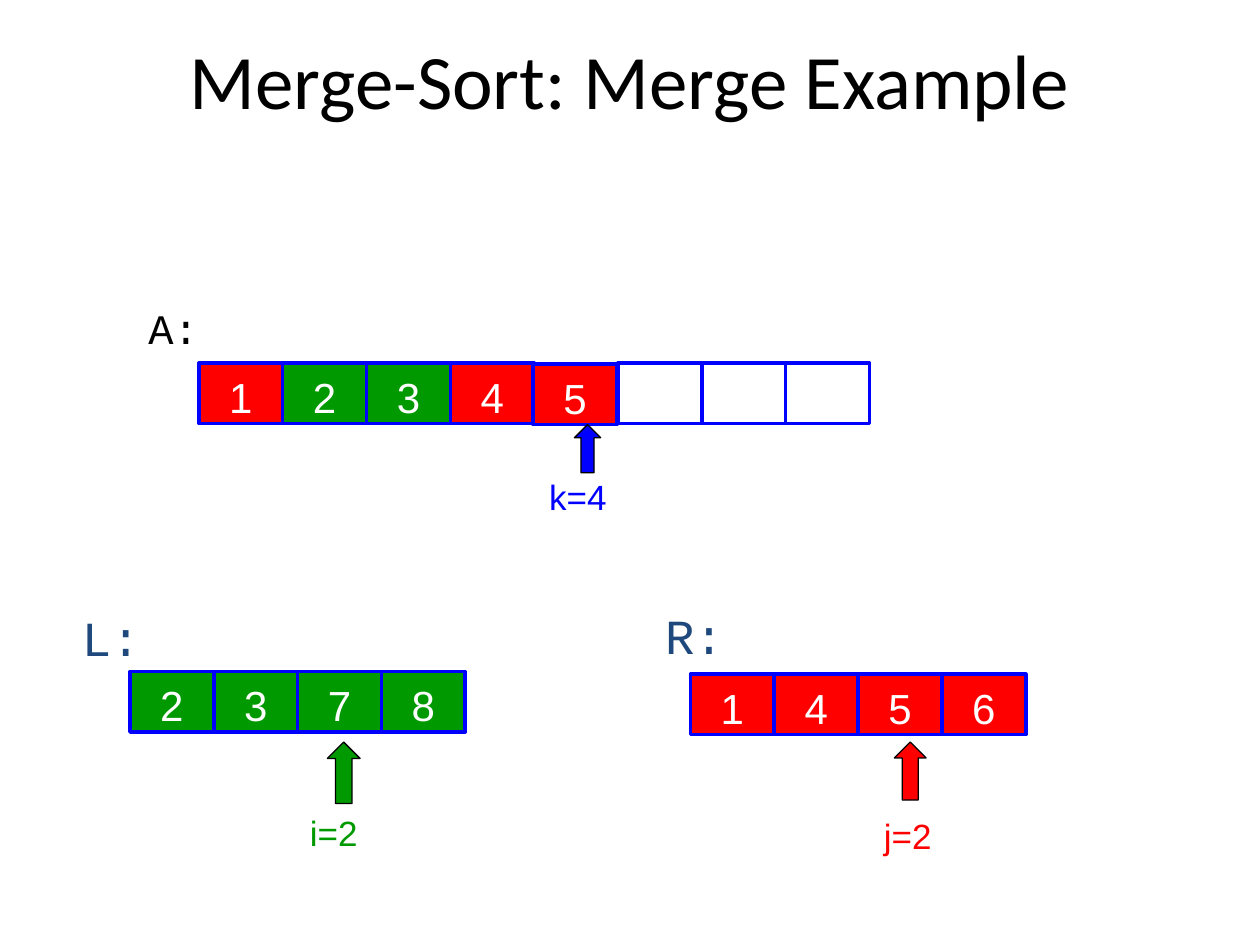
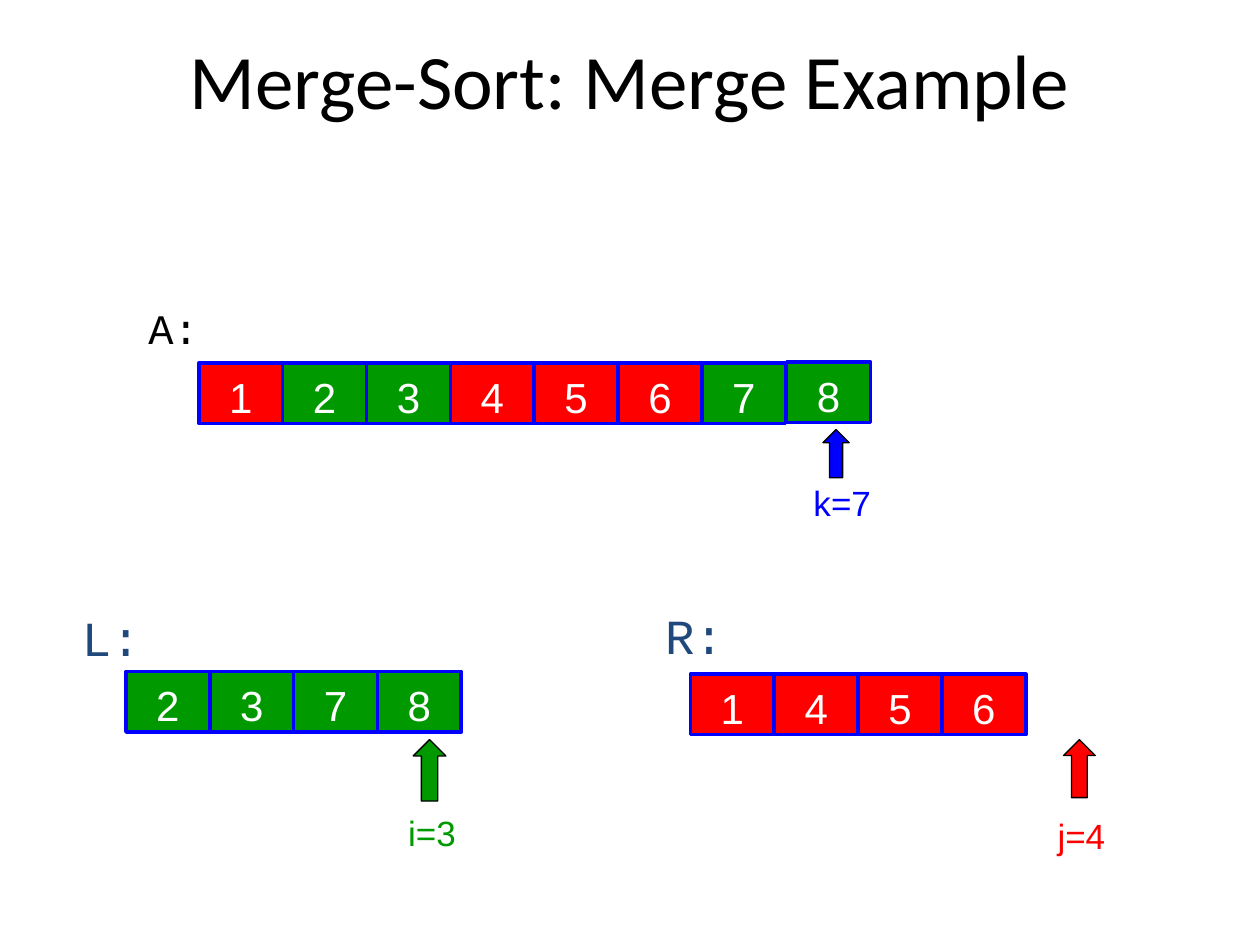
from dataclasses import dataclass

from pptx import Presentation
from pptx.dml.color import RGBColor
from pptx.enum import shapes, text
from pptx.util import Cm, Pt

BLUE, RED, GREEN = "0000FF", "FF0000", "009900"
NAVY, BLACK, WHITE = "1F497D", "000000", "FFFFFF"
CELL_WIDTH, CELL_HEIGHT = 1.69, 1.22
SIDE_INSET, TOP_INSET = 0.25, 0.13


@dataclass(frozen=True)
class Box:
    left: float
    top: float
    width: float
    height: float

    def lengths(self) -> list:
        return [Cm(n) for n in (self.left, self.top, self.width, self.height)]


@dataclass(frozen=True)
class Style:
    font: str
    size: int
    color: str
    align: text.PP_ALIGN = text.PP_ALIGN.CENTER
    anchor: text.MSO_ANCHOR = text.MSO_ANCHOR.TOP
    side: float = SIDE_INSET
    bottom: float = TOP_INSET


@dataclass(frozen=True)
class Label:
    words: str
    box: Box
    style: Style


@dataclass(frozen=True)
class Row:
    left: float
    top: float
    values: str
    colors: tuple


@dataclass(frozen=True)
class Pointer:
    arrow: Box
    label: Label


@dataclass(frozen=True)
class Step:
    merged: Row
    newest: int
    nudge: float
    left_half: Row
    pointers: tuple


LEFT = text.PP_ALIGN.LEFT
MIDDLE = text.MSO_ANCHOR.MIDDLE
TITLE = Style("Calibri", 44, BLACK, anchor=MIDDLE)
DIGIT = Style("Arial", 24, WHITE, anchor=MIDDLE, bottom=0)
ARRAY_NAME = Style("Courier New", 24, BLACK, LEFT)
HALF_NAME = Style("Courier New", 28, NAVY, LEFT, side=0)

SHARED_LABELS = (
    Label("Merge-Sort: Merge Example", Box(1.9, 0, 21.6, 3.18), TITLE),
    Label("A:", Box(2.74, 5.97, 1.75, 1.27), ARRAY_NAME),
    Label("L:", Box(1.65, 12.12, 1.25, 1.45), HALF_NAME),
    Label("R:", Box(13.41, 12.07, 1.25, 1.45), HALF_NAME),
)
RIGHT_HALF = Row(13.92, 13.59, "1456", (RED,) * 4)


def merged_row(values: str, colors: tuple) -> Row:
    return Row(4.01, 7.32, values, colors)


def left_half(left: float) -> Row:
    return Row(left, 13.54, "2378", (GREEN,) * 4)


def k_pointer(index: int, arrow_left: float, arrow_top: float,
              label_left: float, label_top: float) -> Pointer:
    return Pointer(Box(arrow_left, arrow_top, 0.53, 0.97),
                   Label(f"k={index}", Box(label_left, label_top, 2.06, 1.09),
                         Style("Arial", 20, BLUE)))


def i_pointer(index: int, arrow_left: float, arrow_top: float,
              label_left: float) -> Pointer:
    return Pointer(Box(arrow_left, arrow_top, 0.66, 1.24),
                   Label(f"i={index}", Box(label_left, 16.23, 1.22, 1.09),
                         Style("Arial", 20, GREEN, side=0)))


def j_pointer(index: int, arrow_left: float, arrow_top: float,
              label_left: float) -> Pointer:
    return Pointer(Box(arrow_left, arrow_top, 0.64, 1.17),
                   Label(f"j={index}", Box(label_left, 16.28, 1.9, 1.09),
                         Style("Arial", 20, RED)))


MERGE_ORDER = (RED, GREEN, GREEN, RED, RED, RED, GREEN, GREEN)
STEPS = (
    Step(merged_row("12345", MERGE_ORDER[:5] + (WHITE,) * 3), 4, -0.02,
         left_half(2.62),
         (k_pointer(4, 11.58, 8.56, 10.62, 9.45),
          i_pointer(2, 6.6, 14.96, 6.12),
          j_pointer(2, 18.03, 14.96, 17.35))),
    Step(merged_row("12345678", MERGE_ORDER), 7, 0.02,
         left_half(2.54),
         (k_pointer(7, 16.59, 8.66, 15.95, 9.58),
          i_pointer(3, 8.33, 14.91, 8.1),
          j_pointer(4, 21.44, 14.91, 20.85))),
)


def rgb(color: str) -> RGBColor:
    return RGBColor.from_string(color)


def set_all(target, values: dict) -> None:
    for name, value in values.items():
        setattr(target, name, value)


def write(shape, words: str, style: Style) -> None:
    frame = shape.text_frame
    set_all(frame, {
        "word_wrap": True,
        "vertical_anchor": style.anchor,
        "margin_left": Cm(style.side),
        "margin_right": Cm(style.side),
        "margin_top": Cm(TOP_INSET),
        "margin_bottom": Cm(style.bottom),
    })
    paragraph = frame.paragraphs[0]
    paragraph.alignment = style.align
    run = paragraph.add_run()
    run.text = words
    set_all(run.font, {"name": style.font, "size": Pt(style.size)})
    run.font.color.rgb = rgb(style.color)


def draw_label(slide, label: Label) -> None:
    write(slide.shapes.add_textbox(*label.box.lengths()), label.words, label.style)


def draw_shape(slide, preset: shapes.MSO_SHAPE, box: Box, fill: str,
               outline: str, weight: float):
    shape = slide.shapes.add_shape(preset, *box.lengths())
    shape.shadow.inherit = False
    shape.fill.solid()
    shape.fill.fore_color.rgb = rgb(fill)
    shape.line.color.rgb = rgb(outline)
    shape.line.width = Pt(weight)
    return shape


def draw_cell(slide, row: Row, index: int, nudge: float = 0) -> None:
    box = Box(row.left + index * CELL_WIDTH + nudge, row.top - nudge,
              CELL_WIDTH, CELL_HEIGHT)
    cell = draw_shape(slide, shapes.MSO_SHAPE.RECTANGLE, box,
                      row.colors[index], BLUE, 2)
    if index < len(row.values):
        write(cell, row.values[index], DIGIT)


def draw_row(slide, row: Row, skipped: int = -1) -> None:
    for index in range(len(row.colors)):
        if index != skipped:
            draw_cell(slide, row, index)


def draw_pointer(slide, pointer: Pointer) -> None:
    draw_shape(slide, shapes.MSO_SHAPE.UP_ARROW, pointer.arrow,
               pointer.label.style.color, BLACK, 0.75)
    draw_label(slide, pointer.label)


def draw_step(slide, step: Step) -> None:
    for label in SHARED_LABELS:
        draw_label(slide, label)
    draw_row(slide, step.merged, step.newest)
    for half in (step.left_half, RIGHT_HALF):
        draw_row(slide, half)
    draw_cell(slide, step.merged, step.newest, step.nudge)
    for pointer in step.pointers:
        draw_pointer(slide, pointer)


def main() -> None:
    deck = Presentation()
    set_all(deck, {"slide_width": Cm(25.4), "slide_height": Cm(19.05)})
    for step in STEPS:
        draw_step(deck.slides.add_slide(deck.slide_layouts[6]), step)
    deck.save("out.pptx")


if __name__ == "__main__":
    main()
